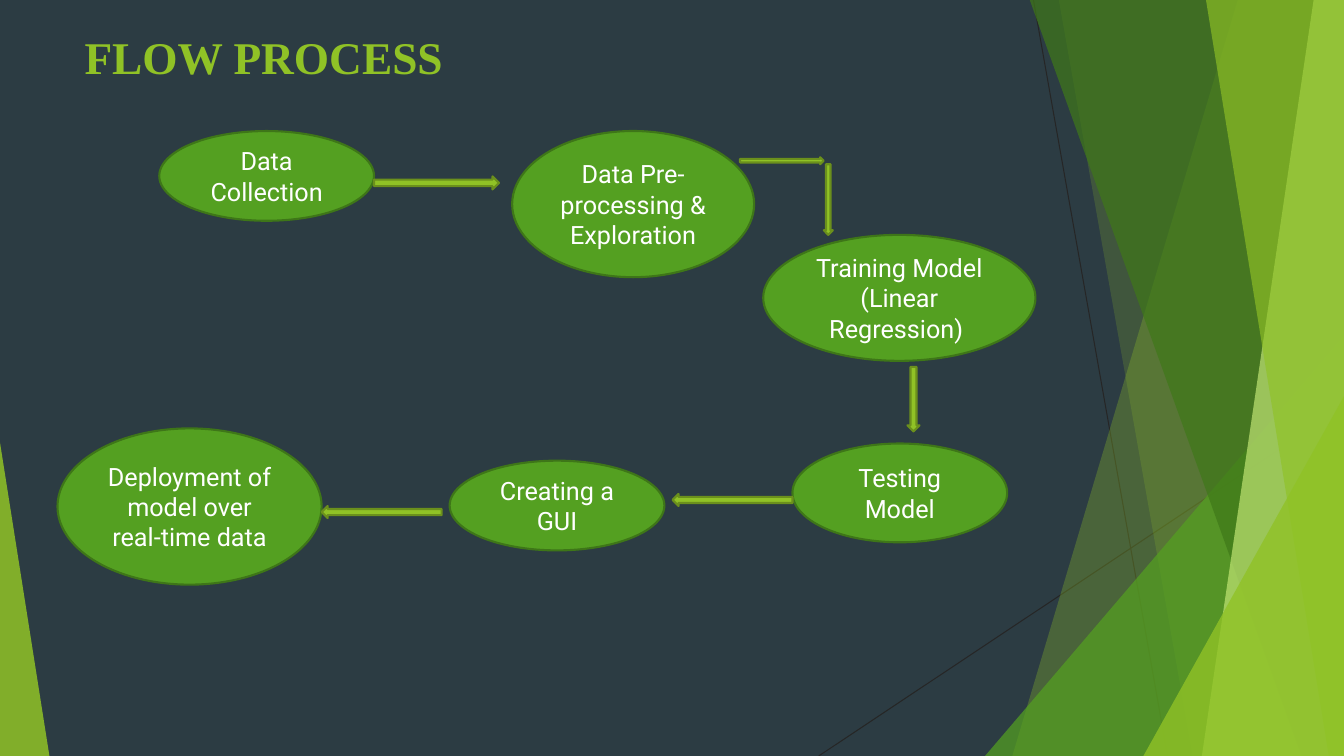
from dataclasses import dataclass

from lxml.etree import SubElement
from pptx import Presentation
from pptx.dml.color import RGBColor
from pptx.enum.shapes import MSO_CONNECTOR as Connector, MSO_SHAPE as Preset
from pptx.enum.text import MSO_ANCHOR as Anchor, PP_ALIGN as Align
from pptx.oxml.ns import qn
from pptx.util import Inches, Pt

CELL = Inches(0.01)
COLUMNS, ROWS = 1333, 750
LIME, GREEN, FOREST, PALE = "90C226", "54A021", "3F7819", "C0E474"
OVAL_EDGE, ARROW_EDGE = "3E7618", "6B901C"
INK, WHITE, NIGHT = "262626", "FFFFFF", "2C3C43"


@dataclass(frozen=True)
class Box:
    column: int
    row: int
    columns: int
    rows: int

    def lengths(self) -> list[int]:
        return [cells * CELL for cells in (self.column, self.row, self.columns, self.rows)]


@dataclass(frozen=True)
class Ray:
    start: tuple[int, int]
    end: tuple[int, int]


@dataclass(frozen=True)
class Band:
    top: int
    bottom: int
    color: str
    opacity: int


@dataclass(frozen=True)
class Wedge:
    box: Box
    apex: int
    color: str
    opacity: int


@dataclass(frozen=True)
class Step:
    box: Box
    lines: tuple[str, ...]


@dataclass(frozen=True)
class Arrow:
    preset: Preset
    box: Box


RAYS = [Ray((1025, 0), (1158, ROWS)), Ray((COLUMNS, 403), (812, ROWS))]

FACETS = [
    Band(1228, 1004, LIME, 30),
    Band(1050, 1183, LIME, 20),
    Wedge(Box(977, 333, 356, 417), 1, GREEN, 72),
    Band(1021, 1291, FOREST, 70),
    Band(1303, 1192, PALE, 70),
    Band(1196, 1318, LIME, 65),
    Wedge(Box(1134, 393, 199, 357), 1, LIME, 80),
    Wedge(Box(0, 439, 49, 311), 0, LIME, 85),
]

STEPS = [
    Step(Box(158, 130, 213, 89), ("Data Collection",)),
    Step(Box(508, 130, 240, 145), ("Data Pre-processing & Exploration",)),
    Step(Box(757, 233, 270, 125), ("Training Model", "(Linear Regression) ")),
    Step(Box(786, 440, 213, 98), ("Testing Model",)),
    Step(Box(446, 457, 213, 89), ("Creating a GUI",)),
    Step(Box(57, 425, 262, 155), ("Deployment of model over real-time data",)),
]

ARROWS = [
    Arrow(Preset.RIGHT_ARROW, Box(371, 175, 124, 13)),
    Arrow(Preset.RIGHT_ARROW, Box(734, 156, 83, 7)),
    Arrow(Preset.DOWN_ARROW, Box(817, 163, 9, 70)),
    Arrow(Preset.DOWN_ARROW, Box(900, 364, 12, 64)),
    Arrow(Preset.LEFT_ARROW, Box(667, 490, 119, 12)),
    Arrow(Preset.LEFT_ARROW, Box(319, 502, 119, 12)),
]


def paint(color_format, color: str) -> None:
    color_format.rgb = RGBColor.from_string(color)


def style(shape, color: str, edge: str | None = None, opacity: int = 100) -> None:
    shape.shadow.inherit = False
    shape.fill.solid()
    paint(shape.fill.fore_color, color)
    if opacity < 100:
        swatch = shape.element.spPr.find(qn("a:solidFill")).find(qn("a:srgbClr"))
        SubElement(swatch, qn("a:alpha"), val=str(opacity * 1000))
    if edge is None:
        shape.line.fill.background()
    else:
        shape.line.width = Pt(1.5)
        paint(shape.line.color, edge)


def write(shape, lines: tuple[str, ...], *, font: str, size: float, color: str,
          bold: bool = False, align: Align = Align.LEFT) -> None:
    frame = shape.text_frame
    frame.word_wrap = True
    frame.vertical_anchor = Anchor.MIDDLE
    for index, line in enumerate(lines):
        paragraph = frame.add_paragraph() if index else frame.paragraphs[0]
        paragraph.alignment = align
        run = paragraph.add_run()
        run.text = line
        run.font.name, run.font.size, run.font.bold = font, Pt(size), bold
        paint(run.font.color, color)


def draw_ray(slide, ray: Ray) -> None:
    ends = [cells * CELL for cells in ray.start + ray.end]
    connector = slide.shapes.add_connector(Connector.STRAIGHT, *ends)
    connector.line.width = Pt(0.75)
    paint(connector.line.color, INK)
    SubElement(connector.element.spPr, qn("a:effectLst"))


def draw_band(slide, band: Band) -> None:
    builder = slide.shapes.build_freeform(band.top, -1, scale=CELL)
    builder.add_line_segments([(COLUMNS, -1), (COLUMNS, ROWS), (band.bottom, ROWS)])
    style(builder.convert_to_shape(), band.color, opacity=band.opacity)


def draw_wedge(slide, wedge: Wedge) -> None:
    shape = slide.shapes.add_shape(Preset.ISOSCELES_TRIANGLE, *wedge.box.lengths())
    shape.adjustments[0] = wedge.apex
    style(shape, wedge.color, opacity=wedge.opacity)


def draw_step(slide, step: Step) -> None:
    shape = slide.shapes.add_shape(Preset.OVAL, *step.box.lengths())
    style(shape, GREEN, OVAL_EDGE)
    write(shape, step.lines, font="Roboto", size=18, color=WHITE, align=Align.CENTER)


def draw_arrow(slide, arrow: Arrow) -> None:
    shape = slide.shapes.add_shape(arrow.preset, *arrow.box.lengths())
    style(shape, LIME, ARROW_EDGE)


def main() -> None:
    presentation = Presentation()
    presentation.slide_width = COLUMNS * CELL
    presentation.slide_height = ROWS * CELL
    slide = presentation.slides.add_slide(presentation.slide_layouts[6])
    slide.background.fill.solid()
    paint(slide.background.fill.fore_color, NIGHT)

    for ray in RAYS:
        draw_ray(slide, ray)
    for facet in FACETS:
        if isinstance(facet, Band):
            draw_band(slide, facet)
        else:
            draw_wedge(slide, facet)

    title = slide.shapes.add_textbox(*Box(74, 23, 940, 66).lengths())
    write(title, ("FLOW PROCESS",), font="Times New Roman", size=32.4, color=LIME, bold=True)

    for step in STEPS:
        draw_step(slide, step)
    for arrow in ARROWS:
        draw_arrow(slide, arrow)
    presentation.save("out.pptx")


main()
